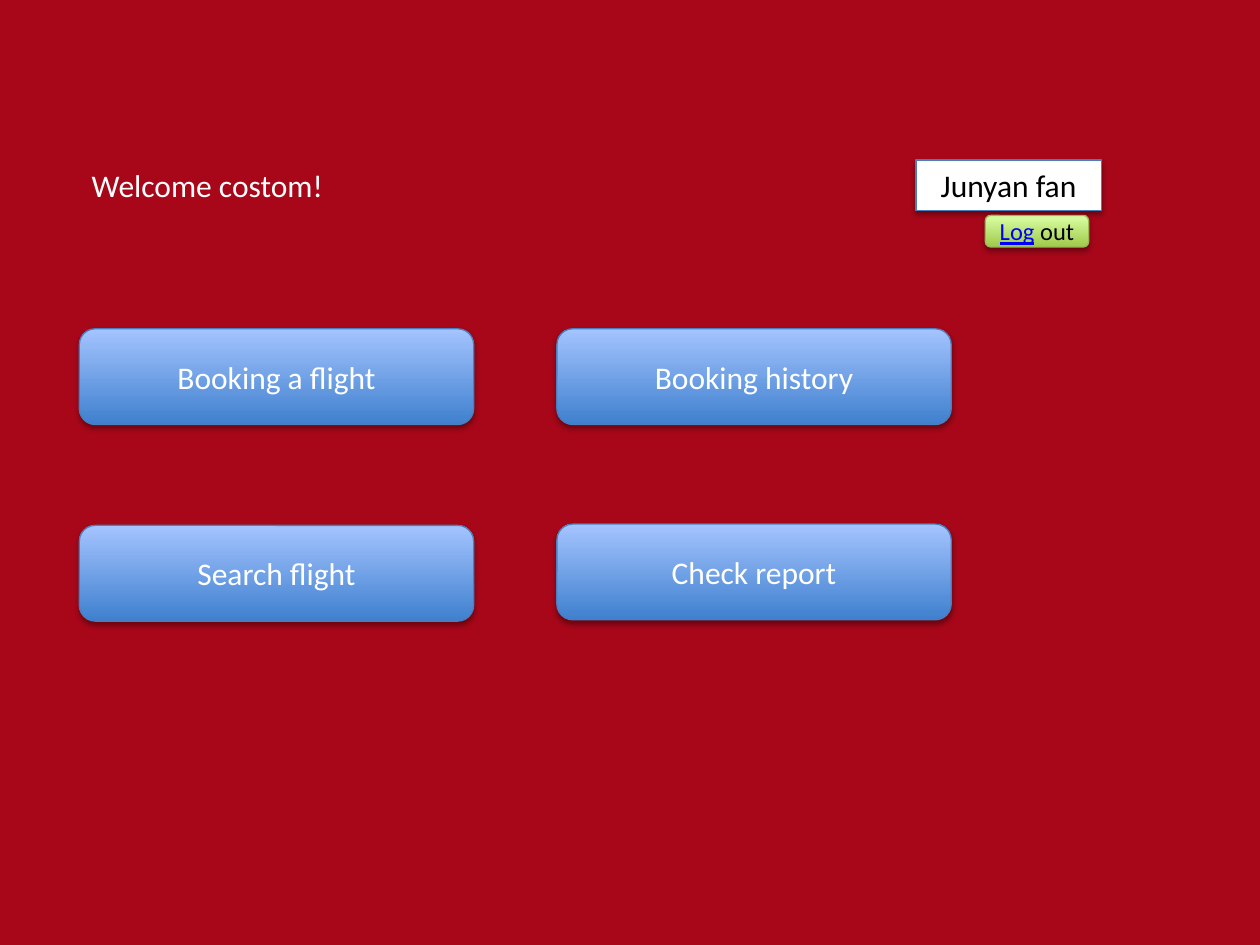
"""Build the welcome page of a flight booking site."""
from lxml import etree
from pptx import Presentation
from pptx.dml.color import RGBColor
from pptx.enum.shapes import MSO_SHAPE
from pptx.enum.text import MSO_ANCHOR, PP_ALIGN
from pptx.oxml.ns import qn
from pptx.util import Inches, Pt

RECTANGLE = MSO_SHAPE.RECTANGLE
ROUNDED = MSO_SHAPE.ROUNDED_RECTANGLE
MIDDLE = MSO_ANCHOR.MIDDLE
CENTER = PP_ALIGN.CENTER

RED = RGBColor(0xA7, 0x07, 0x19)
WHITE = RGBColor(0xFF, 0xFF, 0xFF)
BLACK = RGBColor(0, 0, 0)
LINK_BLUE = RGBColor(0, 0, 0xFF)
BLUE_LINE = RGBColor(0x4B, 0x7E, 0xBC)
GREEN_LINE = RGBColor(0x98, 0xB9, 0x55)
BLUE_FADE = (RGBColor(0x3F, 0x80, 0xCE), RGBColor(0xA4, 0xC4, 0xFF))
GREEN_FADE = (RGBColor(0xA0, 0xCA, 0x4A), RGBColor(0xDA, 0xFF, 0xA5))

WELCOME = "Welcome costom!"
USER = "Junyan fan"
LOG_OUT = ("Log", " out")
MENU = [
    ("Booking a flight", 0, 2.61),
    ("Booking history", 1, 2.61),
    ("Search flight", 0, 4.17),
    ("Check report", 1, 4.16),
]
LEFT, COLUMN_STEP = 0.63, 3.79
BUTTON_WIDTH, BUTTON_HEIGHT = 3.13, 0.76
HEADER_TOP, HEADER_HEIGHT = 1.27, 0.4


def add_shadow(shape):
    shape.shadow.inherit = False
    effects = shape._element.spPr.find(qn("a:effectLst"))
    shadow = etree.SubElement(
        effects, qn("a:outerShdw"), blurRad=str(Pt(3.1)), dist=str(Pt(1.8)),
        dir="5400000", rotWithShape="0")
    color = etree.SubElement(shadow, qn("a:srgbClr"), val=str(BLACK))
    etree.SubElement(color, qn("a:alpha"), val="35000")


def write(para, texts, size, color):
    for text in texts:
        para.add_run().text = text
    para.font.name = "Calibri"
    para.font.size = Pt(size)
    para.font.color.rgb = color


def add_panel(page, kind, area, texts, colors, line, size, text_color):
    panel = page.shapes.add_shape(kind, *map(Inches, area))
    if len(colors) == 1:
        panel.fill.solid()
        panel.fill.fore_color.rgb = colors[0]
    else:
        panel.fill.gradient()
        panel.fill.gradient_angle = 90
        for stop, color in zip(panel.fill.gradient_stops, colors):
            stop.color.rgb = color
    panel.line.color.rgb = line
    panel.line.width = Pt(0.75)
    add_shadow(panel)
    panel.text_frame.vertical_anchor = MIDDLE
    para = panel.text_frame.paragraphs[0]
    para.alignment = CENTER
    write(para, texts, size, text_color)
    return para


def main():
    deck = Presentation()
    deck.slide_width, deck.slide_height = Inches(10), Inches(7.5)
    page = deck.slides.add_slide(deck.slide_layouts[6])
    page.background.fill.solid()
    page.background.fill.fore_color.rgb = RED

    welcome = page.shapes.add_textbox(
        *map(Inches, (LEFT, HEADER_TOP, BUTTON_WIDTH, HEADER_HEIGHT)))
    welcome.text_frame.word_wrap = True
    write(welcome.text_frame.paragraphs[0], [WELCOME], 18, WHITE)

    add_panel(page, RECTANGLE, (7.27, HEADER_TOP, 1.47, HEADER_HEIGHT),
              [USER], [WHITE], BLUE_LINE, 18, BLACK)
    log_out = add_panel(page, ROUNDED, (7.82, 1.71, 0.82, 0.25),
                        LOG_OUT, GREEN_FADE, GREEN_LINE, 14, BLACK)
    link = log_out.runs[0].font
    link.color.rgb = LINK_BLUE
    link.underline = True

    for label, column, top in MENU:
        area = (LEFT + column * COLUMN_STEP, top, BUTTON_WIDTH, BUTTON_HEIGHT)
        add_panel(page, ROUNDED, area, [label], BLUE_FADE, BLUE_LINE, 18, WHITE)

    deck.save("out.pptx")


if __name__ == "__main__":
    main()
